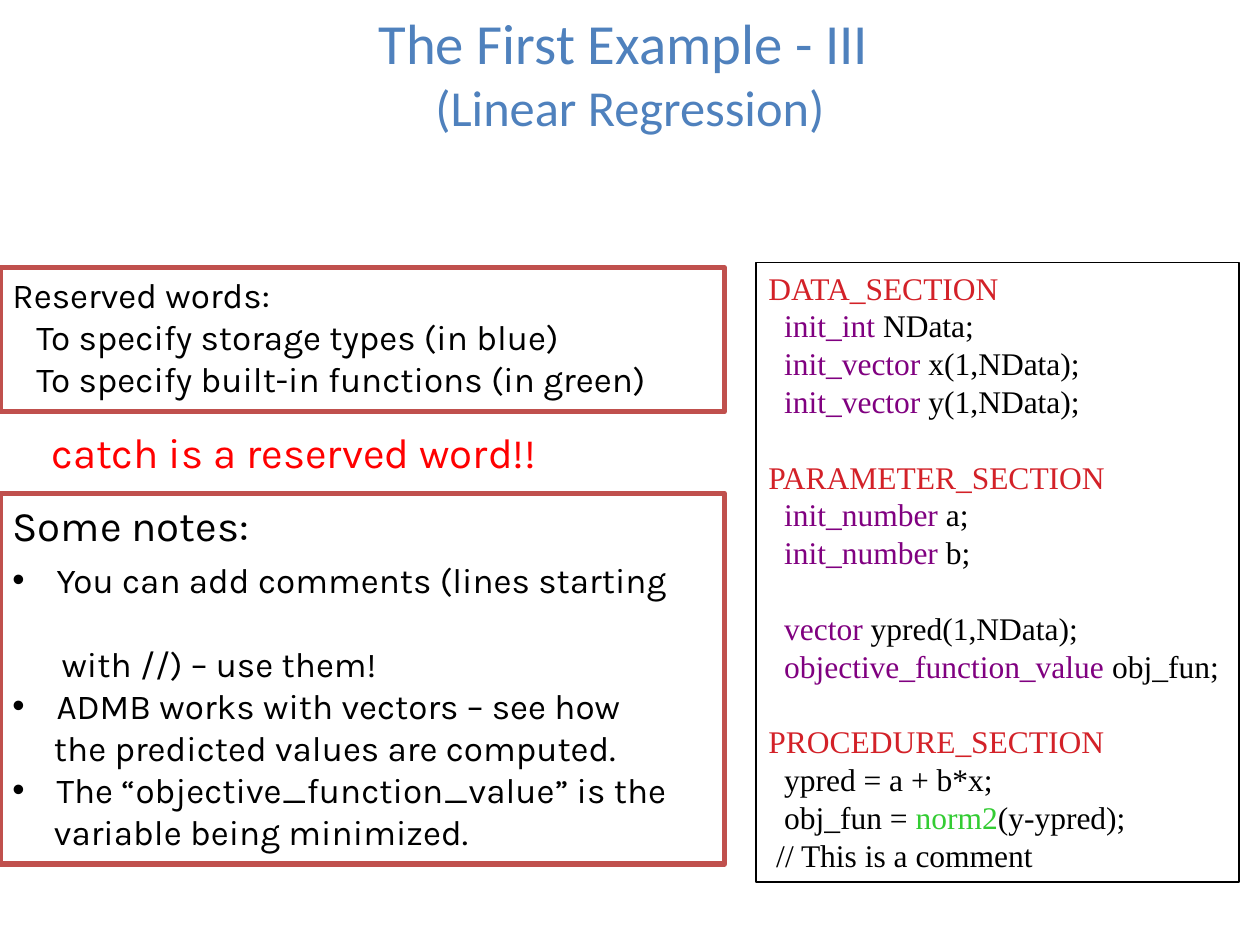
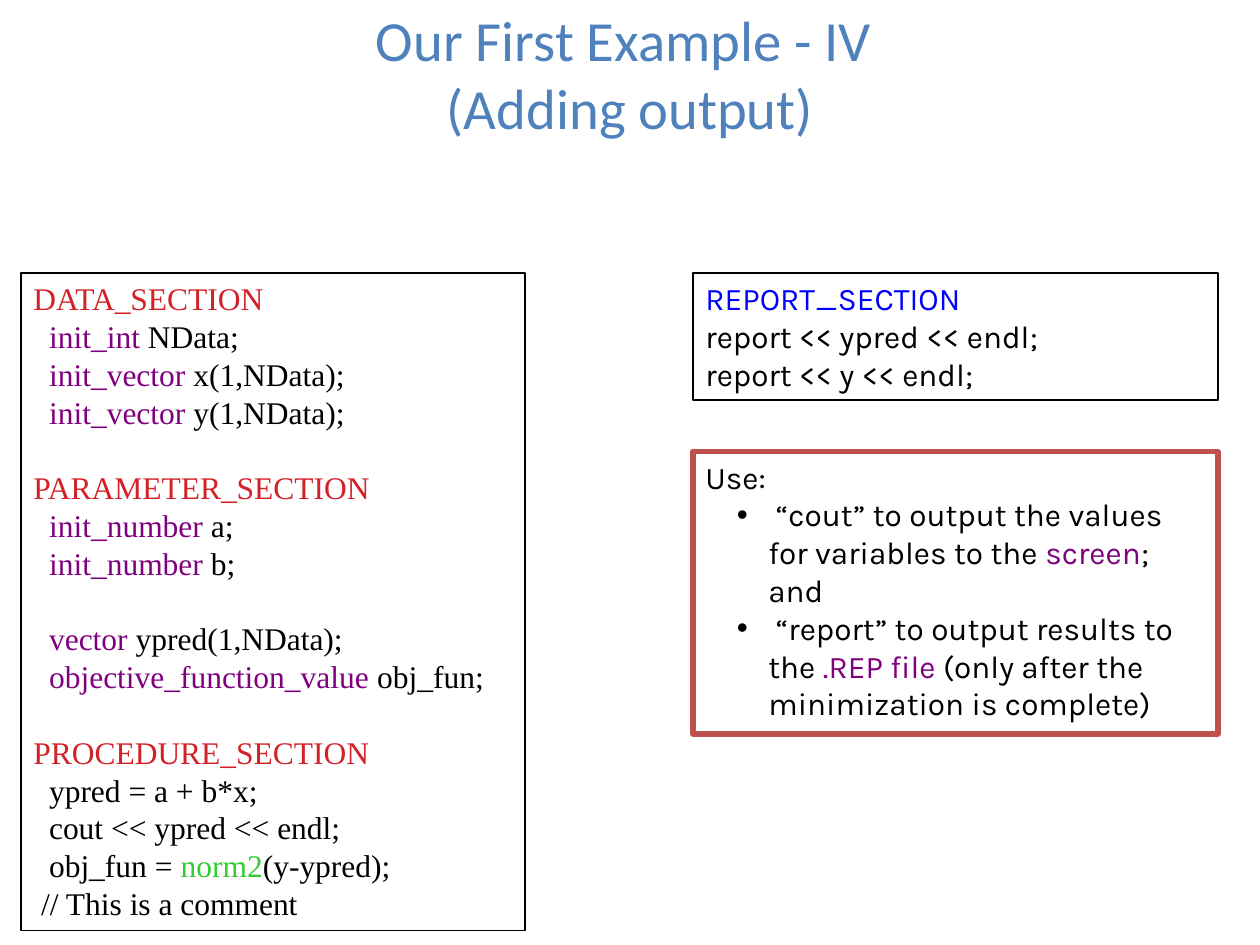
"""Build two slides that explain a first linear regression program."""
from dataclasses import dataclass

from lxml.etree import SubElement
from pptx import Presentation
from pptx.dml.color import RGBColor
from pptx.enum.shapes import MSO_SHAPE as Shape
from pptx.enum.text import MSO_ANCHOR as Anchor, PP_ALIGN as Align
from pptx.oxml.ns import qn
from pptx.util import Inches, Pt

hex_color = RGBColor.from_string
BLACK, RED, PURPLE, GREEN = "000000", "D32128", "800080", "33CC33"
TITLE_BLUE, FRAME_RED, ALERT, REPORT_BLUE = "4F81BD", "C0504D", "FF0000", "0000FF"
HEADING_FONT, BODY_FONT, CODE_FONT = "Calibri", "Karla", "Times New Roman"
LEADING = 1.2

deck = Presentation()
deck.slide_width, deck.slide_height = Inches(10), Inches(7.5)
COLUMN, ROW = deck.slide_width / 60, deck.slide_height / 90


@dataclass
class Line:
    spans: list
    size: float = 18
    margin: float = 0
    hanging: float = 0
    gap: float = 0


def add_box(page, grid, frame=None, weight=0.75):
    """Place a rectangle given as left, top, width, height in grid units."""
    left, top, width, height = grid
    box = page.shapes.add_shape(Shape.RECTANGLE, int(left * COLUMN), int(top * ROW),
                                int(width * COLUMN), int(height * ROW))
    box.shadow.inherit = False
    box.fill.background()
    if frame:
        box.line.color.rgb = hex_color(frame)
        box.line.width = Pt(weight)
    else:
        box.line.fill.background()
    box.text_frame.vertical_anchor = Anchor.TOP
    return box


def write(box, lines, font=BODY_FONT, align=Align.LEFT, leading=LEADING):
    """Fill a box with lines, each made of (text, colour) spans."""
    for index, line in enumerate(lines):
        frame = box.text_frame
        para = frame.add_paragraph() if index else frame.paragraphs[0]
        para.alignment = align
        properties = para._p.get_or_add_pPr()
        properties.set("marL", str(Inches(line.margin)))
        properties.set("indent", str(-Inches(line.hanging)))
        if line.hanging:
            SubElement(properties, qn("a:buFont")).set("typeface", "Arial")
            SubElement(properties, qn("a:buChar")).set("char", "•")
        if leading:
            para.line_spacing = Pt(line.size * leading)
        if line.gap:
            para.space_before = Pt(line.gap)
        for text, color in line.spans:
            span = para.add_run()
            span.text = text
            span.font.name, span.font.size = font, Pt(line.size)
            span.font.color.rgb = hex_color(color)


BLANK_LINE = 18 * LEADING
code = [Line([("DATA_SECTION", RED)])]
sections = [
    ("init_int", " NData;"), ("init_vector", " x(1,NData);"),
    ("init_vector", " y(1,NData);"), "PARAMETER_SECTION",
    ("init_number", " a;"), ("init_number", " b;"), None,
    ("vector", " ypred(1,NData);"),
    ("objective_function_value", " obj_fun;"), "PROCEDURE_SECTION",
]
gap = 0
for entry in sections:
    if entry is None:
        gap = BLANK_LINE
    elif isinstance(entry, str):
        code.append(Line([(entry, RED)], gap=BLANK_LINE))
    else:
        keyword, name = entry
        code.append(Line([("  ", BLACK), (keyword, PURPLE), (name, BLACK)], gap=gap))
        gap = 0
code.append(Line([("  ypred = a + b*x;", BLACK)]))
objective = [
    Line([("  obj_fun = ", BLACK), ("norm2", GREEN), ("(y-ypred);", BLACK)]),
    Line([(" // This is a comment", BLACK)]),
]
console = [Line([("  cout << ypred << endl;", BLACK)])]

pages = []
for heading, subheading, subheading_size, code_grid, listing in [
    ("The First Example - III ", "(Linear Regression)", 28.8,
     (36, 25, 23, 59), code + objective),
    ("Our First Example - IV ", "(Adding output)", 32.4,
     (1, 26, 24, 62.6), code + console + objective),
]:
    page = deck.slides.add_slide(deck.slide_layouts[6])
    title = add_box(page, (3, 2.4, 54, 9))
    title.text_frame.vertical_anchor = Anchor.MIDDLE
    write(title, [Line([(heading, TITLE_BLUE)], 32.4),
                  Line([(subheading, TITLE_BLUE)], subheading_size)],
          HEADING_FONT, Align.CENTER, leading=None)
    write(add_box(page, code_grid, BLACK), listing, CODE_FONT)
    pages.append(page)
regression, output = pages

reserved = add_box(regression, (0, 25.5, 34.5, 13.7), FRAME_RED, 3)
write(reserved, [
    Line([(text, BLACK)], 20, margin) for text, margin in [
        ("Reserved words:", 0),
        ("To specify storage types (in blue)", 0.19),
        ("To specify built-in functions (in green)", 0.19),
    ]])

notes = add_box(regression, (0, 47, 34.5, 35.3), FRAME_RED, 3)
write(notes, [Line([("Some notes:", BLACK)], 24)] + [
    Line([(text, BLACK)], 20, margin, hanging, gap) for text, margin, hanging, gap in [
        ("You can add comments (lines starting", 0.35, 0.35, 4.8),
        ("with //) – use them!", 0.39, 0, 24),
        ("ADMB works with vectors – see how", 0.35, 0.35, 0),
        ("the predicted values are computed.", 0.33, 0, 0),
        ("The “objective_function_value” is the", 0.35, 0.35, 0),
        ("variable being minimized.", 0.33, 0, 0),
    ]])

warning = add_box(regression, (1.85, 40, 24.3, 6.1))
warning.text_frame.word_wrap = False
write(warning, [Line([("catch is a reserved word!!", ALERT)], 24)], align=Align.CENTER)

report = add_box(output, (33, 26, 25, 12.1), BLACK)
write(report, [Line([("REPORT_SECTION", REPORT_BLUE)]),
               Line([("report << ypred << endl;", BLACK)]),
               Line([("report << y << endl;", BLACK)])])

usage = add_box(output, (33, 43, 25, 26.9), FRAME_RED, 3)
write(usage, [Line([("Use:", BLACK)])] + [
    Line([(before, BLACK), (target, PURPLE), (after, BLACK)], margin=0.5, hanging=0.25)
    for before, target, after in [
        (" “cout” to output the values for variables to the ", "screen", "; and"),
        (" “report” to output results to the ", ".REP file",
         " (only after the minimization is complete)"),
    ]])

deck.save("out.pptx")
